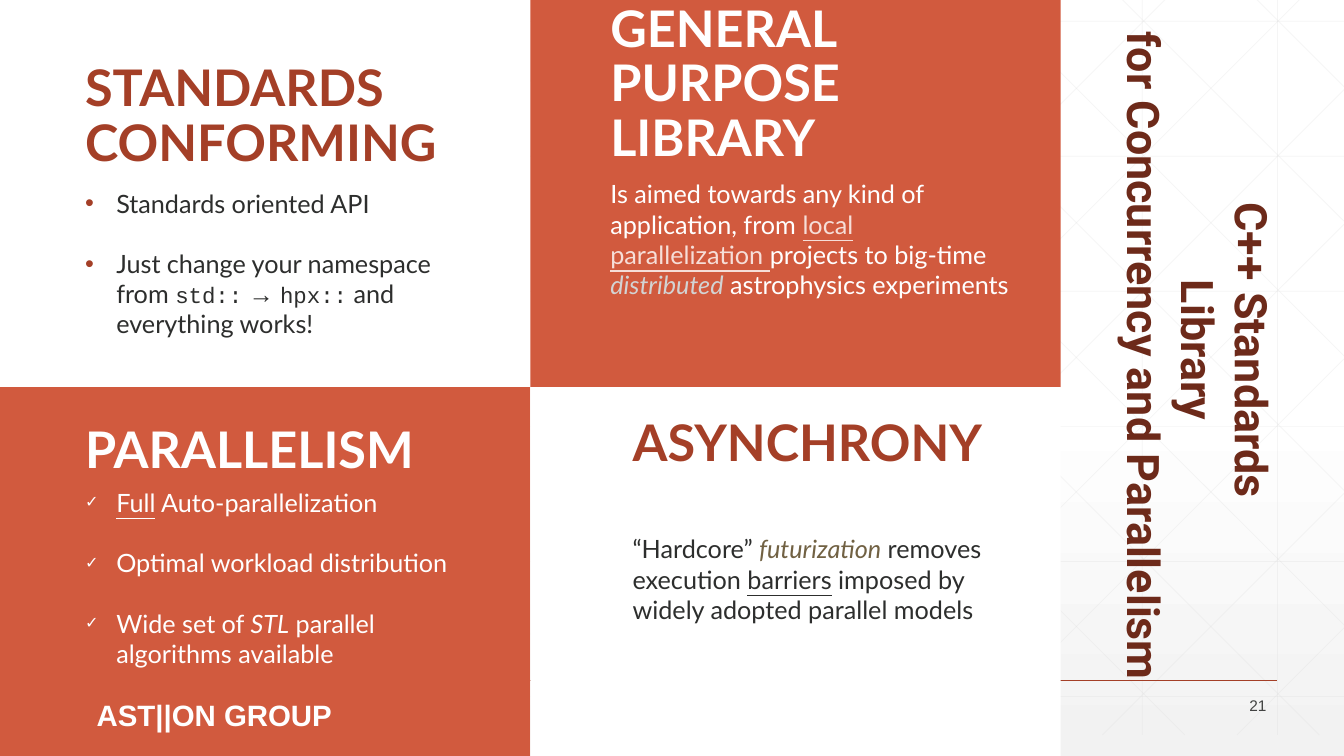
"""Build the four-panel slide on library qualities with a vertical headline."""
from lxml import etree
from pptx import Presentation
from pptx.dml.color import RGBColor
from pptx.enum import shapes, text
from pptx.oxml import ns
from pptx.util import Inches, Pt

THEME = {
    "white": "FFFFFF", "panel": "D15A3E", "rust": "A43F27", "ink": "2D2E2D",
    "maroon": "6D2A1A", "grid": "D9D9D9", "shade": "F2F2F2", "number": "424342",
    "heading_size": 36, "body_size": 18, "headline_size": 32, "group_size": 21, "number_size": 11,
    "font": "Lato", "headline_font": "Roboto", "plain_font": "Arial", "panel_inset": 9.6,
}
STYLES = {
    "plain": {},
    "underline": {"underline": True},
    "italic": {"italic": True},
    "pale link": {"underline": True, "color": "F6DED8"},
    "grey italic": {"italic": True, "color": "D3D3D3"},
    "olive italic": {"italic": True, "color": "716143"},
    "code": {"name": "Courier New", "size": 16},
    "arrow": {"name": "Times New Roman"},
}
HEADINGS = [
    ("STANDARDS CONFORMING", "rust", (0.71, 0.44, 4.19, 1.4)),
    ("GENERAL PURPOSE LIBRARY", "white", (5.92, 0.49, 4.24, 1.3)),
    ("PARALLELISM", "white", (0.71, 3.95, 4.19, 0.94)),
    ("ASYNCHRONY", "rust", (6.14, 3.85, 4.02, 0.97)),
]
BODIES = [
    ("ink", ("•", "rust", 100), (0.71, 1.73, 4.04, 1.4), [
        [("Standards oriented API", "plain")],
        [("Just change your namespace from ", "plain"), ("std::", "code"), (" → ", "arrow"),
         ("hpx::", "code"), (" and everything works!", "plain")],
    ]),
    ("white", None, (5.92, 1.64, 4.24, 1.49), [
        [("Is aimed towards any kind of application, from ", "plain"),
         ("local parallelization ", "pale link"), ("projects to big-time ", "plain"),
         ("distributed", "grey italic"), (" astrophysics experiments", "plain")],
    ]),
    ("white", ("✓", "white", 64), (0.71, 4.7, 3.94, 1.38), [
        [("Full", "underline"), (" Auto-parallelization", "plain")],
        [("Optimal workload distribution", "plain")],
        [("Wide set of ", "plain"), ("STL", "italic"), (" parallel algorithms available", "plain")],
    ]),
    ("ink", None, (6.14, 5.16, 3.77, 1.41), [
        [("“Hardcore” ", "plain"), ("futurization", "olive italic"),
         (" removes execution ", "plain"), ("barriers", "underline"),
         (" imposed by widely adopted parallel models", "plain")],
    ]),
]
HEADLINE = ["C++ Standards ", "Library ", "for Concurrency and Parallelism"]
GROUP_NAME = "AST||ON GROUP"
PAGE_NUMBER = "21"

WIDTH, HEIGHT = 13.33, 7.5
PANEL_WIDTH, PANEL_SPLIT = 5.26, 3.84
GRID_STEP, GRID_TOP, GRID_BOTTOM = 1.335, -0.21, 7.29


def rgb(value):
    """Turn a theme name or hex value into a colour."""
    return RGBColor.from_string(THEME.get(value, value))


def place(shape, box):
    """Move a shape to a box given in inches."""
    shape.left, shape.top, shape.width, shape.height = map(Inches, box)


def format_font(font, color, name=THEME["font"], size=THEME["body_size"],
                bold=False, italic=False, underline=False):
    """Apply every visible font setting."""
    font.name, font.size, font.bold = name, Pt(size), bold
    font.italic, font.underline = italic, underline
    font.color.rgb = rgb(color)


def prepare_frame(frame, anchor, inset=None):
    """Set wrapping, anchor and margins of a text frame."""
    frame.word_wrap = True
    frame.auto_size = text.MSO_AUTO_SIZE.NONE
    frame.vertical_anchor = anchor
    if inset is not None:
        frame.margin_left = frame.margin_right = Pt(inset)
        frame.margin_top = frame.margin_bottom = Pt(inset)


def set_bullet(paragraph, bullet):
    """Give a paragraph its bullet and hanging indent, or neither."""
    properties = paragraph._p.get_or_add_pPr()
    indent = Inches(0.31) if bullet else 0
    properties.set("marL", str(indent))
    properties.set("indent", str(-indent))
    if not bullet:
        etree.SubElement(properties, ns.qn("a:buNone"))
        return
    character, color, percent = bullet
    holder = etree.SubElement(properties, ns.qn("a:buClr"))
    etree.SubElement(holder, ns.qn("a:srgbClr"), val=THEME[color])
    etree.SubElement(properties, ns.qn("a:buSzPct"), val=str(percent * 1000))
    etree.SubElement(properties, ns.qn("a:buFont"), typeface=THEME["plain_font"])
    etree.SubElement(properties, ns.qn("a:buChar"), char=character)


def add_line(slide, ends, color, width, opacity=100):
    """Draw a straight line between two points."""
    line = slide.shapes.add_connector(shapes.MSO_CONNECTOR.STRAIGHT, *map(Inches, ends))
    line.line.color.rgb = rgb(color)
    line.line.width = Pt(width)
    fill = line.line._ln.find(".//" + ns.qn("a:srgbClr"))
    etree.SubElement(fill, ns.qn("a:alpha"), val=str(opacity * 1000))
    etree.SubElement(line._element.spPr, ns.qn("a:effectLst"))


def add_background(slide):
    """Fill the background and draw the faint grid that runs behind the panels."""
    fill = slide.background.fill
    fill.gradient()
    fill.gradient_angle = 270
    for stop, position, color in zip(fill.gradient_stops, (0.53, 1), ("white", "shade")):
        stop.position = position
        stop.color.rgb = rgb(color)
    lines = [(x, GRID_TOP, x, GRID_BOTTOM) for x in (11.33, 12.67)]
    for step in range(6):
        y = 0.21 + step * 1.34
        lines.append((0, y, WIDTH, y))
    for step in range(7):
        offset = 4.46 + step * GRID_STEP
        left, right = offset + GRID_TOP, min(WIDTH, offset + GRID_BOTTOM)
        lines.append((left, left - offset, right, right - offset))
        total = 11.55 + step * GRID_STEP
        left, right = total - GRID_BOTTOM, min(WIDTH, total - GRID_TOP)
        lines.append((right, total - right, left, total - left))
    for ends in lines:
        add_line(slide, ends, "grid", 0.5, 25)
    add_line(slide, (0.67, 6.75, 12.67, 6.75), "rust", 1)


def add_panels(slide):
    """Draw the checkerboard of four panels."""
    rows = ((0, PANEL_SPLIT), (PANEL_SPLIT, HEIGHT - PANEL_SPLIT))
    for row, (top, height) in enumerate(rows):
        for column in range(2):
            box = map(Inches, (column * PANEL_WIDTH, top, PANEL_WIDTH, height))
            panel = slide.shapes.add_shape(shapes.MSO_SHAPE.RECTANGLE, *box)
            panel.shadow.inherit = False
            panel.fill.solid()
            panel.fill.fore_color.rgb = rgb("panel" if row != column else "white")
            panel.line.fill.background()


def add_body(slide, index, color, bullet, box, paragraphs):
    """Fill a body placeholder with styled runs."""
    body = slide.placeholders[index]
    slide.shapes._spTree.append(body._element)
    place(body, box)
    frame = body.text_frame
    prepare_frame(frame, text.MSO_ANCHOR.TOP, THEME["panel_inset"])
    for number, runs in enumerate(paragraphs):
        paragraph = frame.add_paragraph() if number else frame.paragraphs[0]
        set_bullet(paragraph, bullet)
        paragraph.space_before = Pt(21.6 if number else 0)
        paragraph.alignment = text.PP_ALIGN.LEFT
        for words, style in runs:
            run = paragraph.add_run()
            run.text = words
            format_font(run.font, **{"color": color, **STYLES[style]})


def add_label(shape, lines, box, alignment, anchor, inset=None, spacing=1.0, **font):
    """Write equally styled lines into a shape."""
    place(shape, box)
    frame = shape.text_frame
    prepare_frame(frame, anchor, inset)
    frame.text = "\n".join(lines)
    for paragraph in frame.paragraphs:
        paragraph.alignment = alignment
        paragraph.line_spacing = spacing
        format_font(paragraph.runs[0].font, **font)


def main():
    """Assemble and save the slide."""
    presentation = Presentation()
    presentation.slide_width, presentation.slide_height = Inches(WIDTH), Inches(HEIGHT)
    slide = presentation.slides.add_slide(presentation.slide_layouts.get_by_name("Comparison"))
    align, anchor = text.PP_ALIGN, text.MSO_ANCHOR
    add_background(slide)
    add_panels(slide)
    for index, body in enumerate(BODIES, 1):
        add_body(slide, index, *body)
    title = slide.shapes.title
    slide.shapes._spTree.append(title._element)
    for number, (words, color, box) in enumerate(HEADINGS):
        shape = slide.shapes.add_textbox(0, 0, 0, 0) if number else title
        add_label(shape, [words], box, align.LEFT, anchor.BOTTOM, THEME["panel_inset"], 0.9,
                  color=color, size=THEME["heading_size"], bold=True)
    labels = [
        (HEADLINE, (8.35, 2.67, 7.06, 1.72), align.CENTER, anchor.TOP, 90,
         "maroon", "headline_font", "headline_size", True),
        ([PAGE_NUMBER], (11.66, 6.88, 1, 0.24), align.RIGHT, anchor.MIDDLE, 0,
         "number", "plain_font", "number_size", False),
        ([GROUP_NAME], (0.86, 6.87, 2.6, 0.45), align.LEFT, anchor.TOP, 0,
         "white", "plain_font", "group_size", True),
    ]
    for lines, box, alignment, position, rotation, color, name, size, bold in labels:
        shape = slide.shapes.add_textbox(0, 0, 0, 0)
        shape.rotation = rotation
        add_label(shape, lines, box, alignment, position, color=color,
                  name=THEME[name], size=THEME[size], bold=bold)
    presentation.save("out.pptx")


if __name__ == "__main__":
    main()
